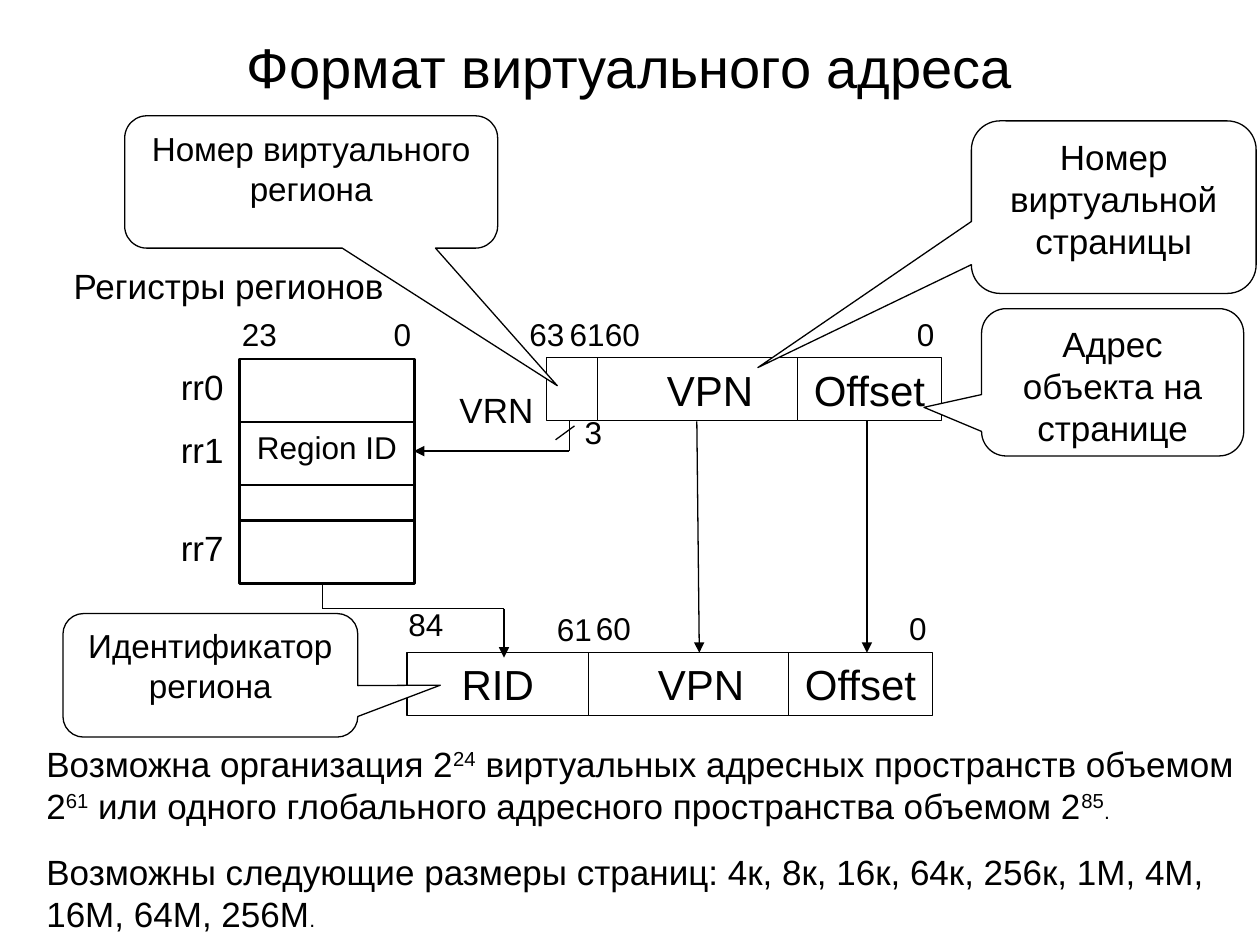
from lxml import etree
from pptx import Presentation
from pptx.dml.color import RGBColor
from pptx.enum.shapes import MSO_CONNECTOR, MSO_SHAPE
from pptx.enum.text import MSO_ANCHOR, MSO_AUTO_SIZE, PP_ALIGN
from pptx.oxml.ns import qn
from pptx.util import Pt

BLACK = RGBColor(0, 0, 0)
WHITE = RGBColor(255, 255, 255)
FONT = "Arial"
RECT, CALLOUT = MSO_SHAPE.RECTANGLE, MSO_SHAPE.ROUNDED_RECTANGULAR_CALLOUT
LINE = MSO_CONNECTOR.STRAIGHT
LEFT, CENTER = PP_ALIGN.LEFT, PP_ALIGN.CENTER
TOP, MIDDLE = MSO_ANCHOR.TOP, MSO_ANCHOR.MIDDLE
TITLE = "Формат виртуального адреса"

# Region registers: label, content, height
REGISTERS_AT = (136.8, 205.2)
REGISTER_WIDTH = 100
REGISTERS = [("rr0", "", 36), ("rr1", "Region ID", 36), ("", "", 20.2), ("rr7", "", 36)]

# Address fields: text, left, width
FIELD_HEIGHT = 36
ADDRESSES = [
    (204.5, [("VPN", 341.3, 128.9), ("Offset", 455.8, 82.1), ("", 312.5, 28.8)]),
    (373, [("VPN", 336.2, 128.9), ("Offset", 450.7, 82.1), ("RID", 232.6, 103.7)]),
]

# Bit numbers: text, left, top
BIT_WIDTH, BIT_HEIGHT = 36, 33
BITS = [
    ("23", 130.3, 176.4), ("0", 212, 176.4),
    ("63", 294.5, 176.4), ("61", 317.5, 176.4), ("60", 337.7, 176.4), ("0", 511, 176.4),
    ("3", 321.1, 232.6),
    ("84", 225.4, 342), ("61", 310.3, 344.9), ("60", 332.6, 344.2), ("0", 506.5, 344.2),
]

# Other labels: text, left, top, width, height
LABELS = [
    ("Регистры регионов", 32.4, 147.6, 196.6, 39.6),
    ("VRN", 254.9, 218.2, 57.6, 36),
]

# Lines: start, end, has arrowhead
LINES = [
    ((325.4, 240.5), (325.4, 257.8), False),
    ((325.4, 257.8), (236.5, 257.8), True),
    ((317.5, 251.3), (328.3, 243.4), False),
    ((398.2, 240.8), (399.6, 373), True),
    ((495.4, 240.5), (495.4, 373), True),
    ((184.3, 333.4), (184.3, 347.8), False),
    ((184.3, 347.8), (288, 347.8), False),
    ((288, 347.8), (288, 375.8), True),
]

# Callouts: text, size, (left, top, width, height), pointer adjustments
CALLOUTS = [
    ("Идентификатор региона", 19, (36, 350.6, 168.5, 70.6), (0.78, 0.08)),
    ("Адрес объекта на странице", 20, (560.9, 176.4, 149.8, 84.2), (-0.72, 0.17)),
    ("Номер виртуальной страницы", 20, (555.1, 69.1, 162.7, 98.6), (-1.25, 0.93)),
    ("Номер виртуального региона", 19, (71.3, 66.2, 213.1, 75.6), (0.66, 1.54)),
]

# Notes: top, height, runs of (text, size, is superscript)
NOTES_LEFT, NOTES_WIDTH = 19.4, 700.6
NOTES = [
    (420.5, 61.9, [
        ("Возможна организация 2", 20, False), ("24", 20, True),
        (" виртуальных адресных пространств объемом 2", 20, False), ("61", 20, True),
        (" или одного глобального адресного пространства объемом 2", 20, False),
        ("85", 20, True), (".", 12, False)]),
    (482.4, 39.6, [
        ("Возможны следующие размеры страниц: 4к, 8к, 16к, 64к, 256к, "
         "1М, 4М, 16М, 64М, 256М", 20, False), (".", 12, False)]),
]


def write(shape, runs, align=CENTER, anchor=TOP):
    frame = shape.text_frame
    frame.word_wrap = True
    frame.auto_size = MSO_AUTO_SIZE.NONE
    frame.vertical_anchor = anchor
    paragraph = frame.paragraphs[0]
    paragraph.alignment = align
    for text, size, superscript in runs:
        run = paragraph.add_run()
        run.text = text
        run.font.name = FONT
        run.font.size = Pt(size)
        run.font.color.rgb = BLACK
        if superscript:
            run.font._element.set("baseline", "30000")


def add_label(slide, text, size, *box):
    write(slide.shapes.add_textbox(*map(Pt, box)), [(text, size, False)])


def add_box(slide, kind, text, size, box, line_width=0.75):
    shape = slide.shapes.add_shape(kind, *map(Pt, box))
    shape.shadow.inherit = False
    shape.fill.solid()
    shape.fill.fore_color.rgb = WHITE
    shape.line.color.rgb = BLACK
    shape.line.width = Pt(line_width)
    if text:
        write(shape, [(text, size, False)])
    return shape


def add_line(slide, start, end, arrow):
    line = slide.shapes.add_connector(LINE, *map(Pt, start + end))
    line.line.color.rgb = BLACK
    line.line.width = Pt(0.75)
    if arrow:
        etree.SubElement(line.line._get_or_add_ln(), qn("a:tailEnd"), type="triangle")
    etree.SubElement(line._element.spPr, qn("a:effectLst"))


def main():
    deck = Presentation()
    deck.slide_width, deck.slide_height = Pt(720), Pt(540)
    slide = deck.slides.add_slide(deck.slide_layouts[5])

    title = slide.shapes.title
    title.left, title.top, title.width, title.height = map(Pt, (36, 21.6, 648, 32.4))
    write(title, [(TITLE, 32, False)], anchor=MIDDLE)

    left, top = REGISTERS_AT
    for label, content, height in REGISTERS:
        add_box(slide, RECT, content, 18, (left, top, REGISTER_WIDTH, height), 1.5)
        if label:
            add_label(slide, label, 20, left - 50.4, top, 58.3, 33)
        top += height

    for top, fields in ADDRESSES:
        for text, left, width in fields:
            add_box(slide, RECT, text, 24, (left, top, width, FIELD_HEIGHT))

    for text, left, top in BITS:
        add_label(slide, text, 18, left, top, BIT_WIDTH, BIT_HEIGHT)
    for text, *box in LABELS:
        add_label(slide, text, 20, *box)
    for start, end, arrow in LINES:
        add_line(slide, start, end, arrow)

    for text, size, box, pointer in CALLOUTS:
        callout = add_box(slide, CALLOUT, text, size, box)
        callout.adjustments[0], callout.adjustments[1] = pointer

    for top, height, runs in NOTES:
        note = slide.shapes.add_textbox(Pt(NOTES_LEFT), Pt(top), Pt(NOTES_WIDTH), Pt(height))
        write(note, runs, LEFT)

    deck.save("out.pptx")


if __name__ == "__main__":
    main()
